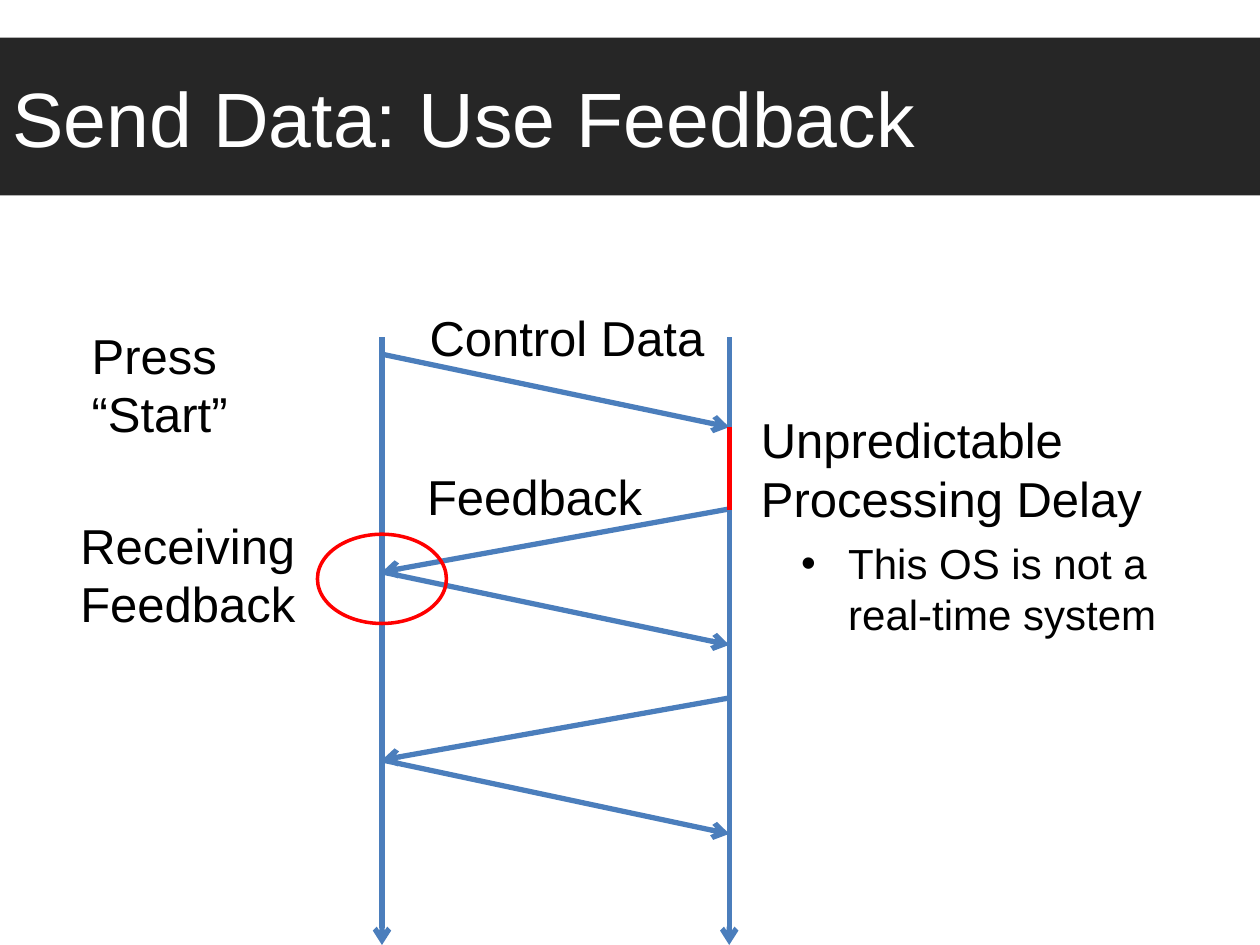
"""Build the slide on sending data with feedback as a sequence chart."""
from lxml.etree import SubElement as Sub
from pptx import Presentation
from pptx.dml.color import RGBColor
from pptx.enum.shapes import MSO_CONNECTOR as Link, MSO_SHAPE as Form
from pptx.enum.text import MSO_ANCHOR as Anchor, PP_ALIGN as Align
from pptx.oxml.ns import qn
from pptx.util import Cm, Pt

DARK = RGBColor(0x26, 0x26, 0x26)
WHITE = RGBColor(0xFF, 0xFF, 0xFF)
BLACK = RGBColor(0, 0, 0)
BLUE = RGBColor(0x4B, 0x7E, 0xBC)
RED = RGBColor(0xFF, 0, 0)

deck = Presentation()
deck.slide_width, deck.slide_height = Cm(25.4), Cm(19.05)
slide = deck.slides.add_slide(deck.slide_layouts[6])
shapes = slide.shapes


def write(shape, text, size, color):
    shape.text_frame.word_wrap = True
    par = shape.text_frame.paragraphs[0]
    par.alignment = Align.LEFT
    run = par.add_run()
    run.text = text
    run.font.name = "Arial"
    run.font.size = Pt(size)
    run.font.color.rgb = color
    return par


def draw(x1, y1, x2, y2, color=BLUE, arrow=True):
    line = shapes.add_connector(Link.STRAIGHT, Cm(x1), Cm(y1), Cm(x2), Cm(y2))
    line.line.color.rgb = color
    line.line.width = Pt(3)
    if arrow:
        Sub(line.line._get_or_add_ln(), qn("a:tailEnd"), type="arrow")
    Sub(line._element.spPr, qn("a:effectLst"))


bar = shapes.add_shape(Form.RECTANGLE, 0, Cm(0.76), Cm(25.4), Cm(3.18))
bar.shadow.inherit = False
bar.fill.solid()
bar.fill.fore_color.rgb = DARK
bar.line.fill.background()
bar.text_frame.vertical_anchor = Anchor.MIDDLE
write(bar, "Send Data: Use Feedback", 44, WHITE)

left, right = 7.7, 14.7
for x in (left, right):
    draw(x, 6.8, x, 19.05)

for start, end in ((7.14, 8.61), (11.53, 13), (15.32, 16.81)):
    draw(left, start, right, end)
for start, end in ((10.26, 11.53), (14.07, 15.32)):
    draw(right, start, left, end)
draw(right, 8.61, right, 10.28, RED, False)

labels = [
    ("Press “Start”", 1.6, 6.43, 5.79, 1.45),
    ("Unpredictable Processing Delay", 15.09, 8.13, 11, 2.64),
    ("Control Data", 8.41, 6.07, 6.5, 1.45),
    ("Feedback", 8.36, 9.27, 5.54, 1.45),
    ("Receiving Feedback", 1.37, 10.26, 4.95, 2.64),
]
for text, x, y, w, h in labels:
    box = shapes.add_textbox(Cm(x), Cm(y), Cm(w), Cm(h))
    write(box, text, 28, BLACK)

ring = shapes.add_shape(Form.OVAL, Cm(6.4), Cm(10.77), Cm(2.6), Cm(1.8))
ring.shadow.inherit = False
ring.fill.background()
ring.line.color.rgb = RED
ring.line.width = Pt(2)

note = shapes.add_textbox(Cm(15.9), Cm(10.72), Cm(9.19), Cm(2.31))
par = write(note, "This OS is not a real-time system", 24, BLACK)
props = par._p.get_or_add_pPr()
props.set("marL", str(Cm(0.95)))
props.set("indent", str(Cm(-0.95)))
Sub(props, qn("a:buFont"), typeface="Arial")
Sub(props, qn("a:buChar"), char="•")

deck.save("out.pptx")
